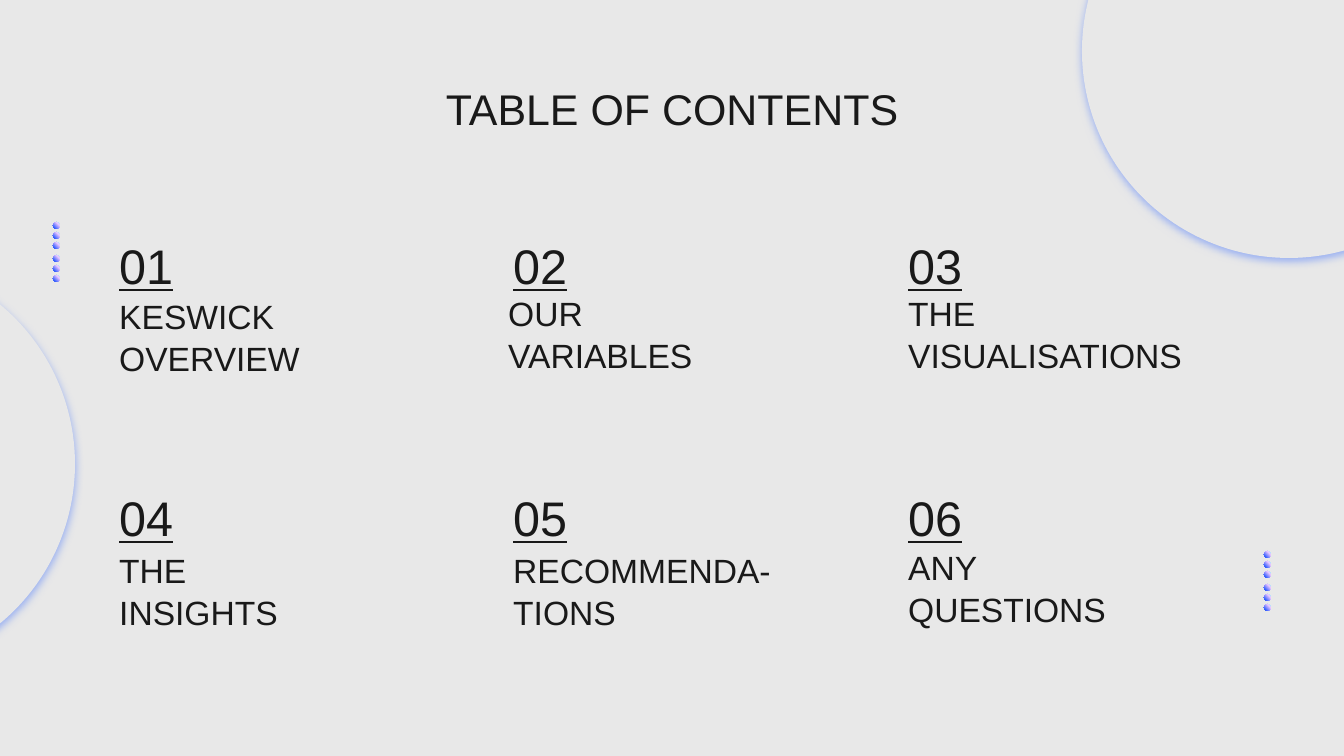
from pptx import Presentation
from pptx.dml.color import RGBColor
from pptx.enum.shapes import MSO_SHAPE
from pptx.enum.text import MSO_ANCHOR, MSO_AUTO_SIZE, PP_ALIGN
from pptx.oxml import parse_xml
from pptx.oxml.ns import nsdecls, qn
from pptx.util import Emu, Inches, Pt

PX = 914400 / 134.4
INK, PAPER, GLOW = "191919", "E8E8E8", "4877FF"
DOT_STOPS = [(0, "8DF1FF"), (30, "F2CEFF"), (100, "0445FF")]
DOT_STEPS = [0, 10, 20, 33, 43, 53]
COLUMNS = [106, 500, 895]
ENTRIES = [
    ("KESWICK OVERVIEW", 106, 297, 344),
    ("OUR\vVARIABLES", 495, 294, 344),
    ("THE VISUALISATIONS", 895, 294, 362),
    ("THE\vINSIGHTS", 106, 551, 368),
    ("RECOMMENDA-TIONS", 500, 551, 344),
    ("ANY\vQUESTIONS", 895, 548, 344),
]


def px(*lengths):
    """Turn pixel lengths into EMU."""
    return [Emu(round(n * PX)) for n in lengths]


def color(hex_code):
    """Turn a hex string into a colour."""
    return RGBColor.from_string(hex_code)


def format_text(sp, text, size, align=PP_ALIGN.LEFT, underline=False, spacing=1.0):
    """Put formatted, vertically centred text in a shape."""
    tf = sp.text_frame
    tf.text = text
    tf.word_wrap = True
    tf.auto_size = MSO_AUTO_SIZE.NONE
    tf.vertical_anchor = MSO_ANCHOR.MIDDLE
    tf.margin_left = tf.margin_right = tf.margin_top = tf.margin_bottom = Inches(0.1)
    p = tf.paragraphs[0]
    p.alignment = align
    p.line_spacing = spacing
    for r in p.runs:
        r.font.name = "Arial"
        r.font.size = Pt(size)
        r.font.underline = underline
        r.font.color.rgb = color(INK)


def add_title(s, text):
    """Place and format the slide title."""
    sp = s.shapes.title
    sp.left, sp.top, sp.width, sp.height = px(106, 66, 1133, 85)
    format_text(sp, text, 23, PP_ALIGN.CENTER)


def add_circle(shapes, x, y, size):
    """Add an unlined circle in the paper colour."""
    sp = shapes.add_shape(MSO_SHAPE.OVAL, *px(x, y, size, size))
    sp.fill.solid()
    sp.fill.fore_color.rgb = color(PAPER)
    sp.line.fill.background()
    sp.shadow.inherit = False
    return sp


def add_glowing_circle(s, x, y):
    """Add a large circle with a soft blue shadow."""
    sp = add_circle(s.shapes, x, y, 414)
    sp._element.spPr.find(qn("a:effectLst")).append(parse_xml(
        f'<a:outerShdw {nsdecls("a")} blurRad="{Pt(4.5)}" dist="{Pt(1.5)}" '
        f'dir="5400000" algn="bl" rotWithShape="0"><a:srgbClr val="{GLOW}">'
        '<a:alpha val="50000"/></a:srgbClr></a:outerShdw>'))


def add_dot_column(s, x, y):
    """Add a grouped column of small gradient dots."""
    group = s.shapes.add_group_shape()
    stops = "".join(f'<a:gs pos="{pos * 1000}"><a:srgbClr val="{code}"/></a:gs>'
                    for pos, code in DOT_STOPS)
    for step in DOT_STEPS:
        spPr = add_circle(group.shapes, x, y + step, 7)._element.spPr
        spPr.replace(spPr.find(qn("a:solidFill")), parse_xml(
            f'<a:gradFill {nsdecls("a")} rotWithShape="1"><a:gsLst>{stops}</a:gsLst>'
            '<a:lin ang="8100000" scaled="0"/></a:gradFill>'))


def add_entry(s, index, caption, x, y, width):
    """Add a numbered entry with its caption."""
    row, column = divmod(index, len(COLUMNS))
    box = s.shapes.add_textbox(*px(x, y, width, 78))
    format_text(box, caption, 18, spacing=1.05)
    number = s.shapes.add_textbox(*px(COLUMNS[column], 222 + row * 252, 187, 87))
    format_text(number, f"{index + 1:02}", 26, underline=True)


def main():
    """Build the contents slide."""
    prs = Presentation()
    prs.slide_width, prs.slide_height = px(1344, 756)
    s = prs.slides.add_slide(prs.slide_layouts[5])
    s.background.fill.solid()
    s.background.fill.fore_color.rgb = color(PAPER)
    add_glowing_circle(s, -339, 257)
    add_glowing_circle(s, 1082, -156)
    add_title(s, "TABLE OF CONTENTS")
    for index, entry in enumerate(ENTRIES):
        add_entry(s, index, *entry)
    add_dot_column(s, 1264, 551)
    add_dot_column(s, 53, 222)
    prs.save("out.pptx")


if __name__ == "__main__":
    main()
